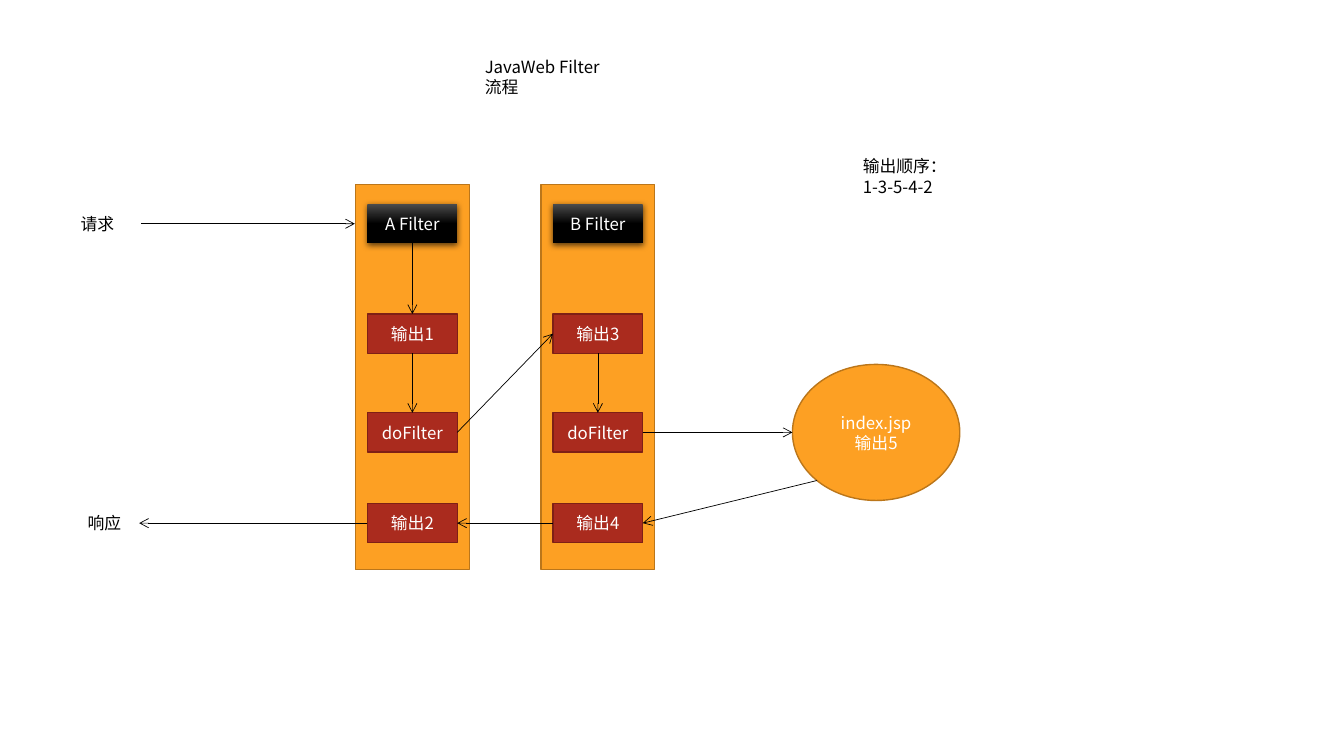
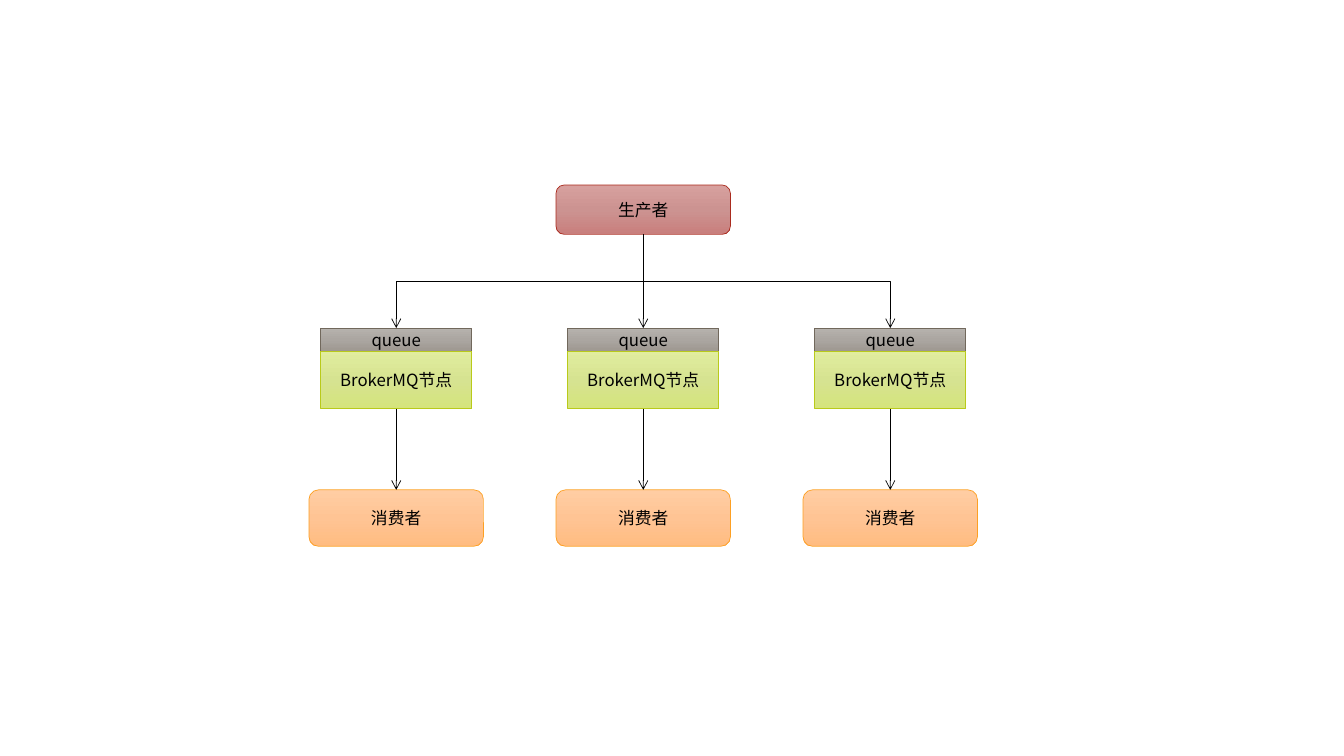
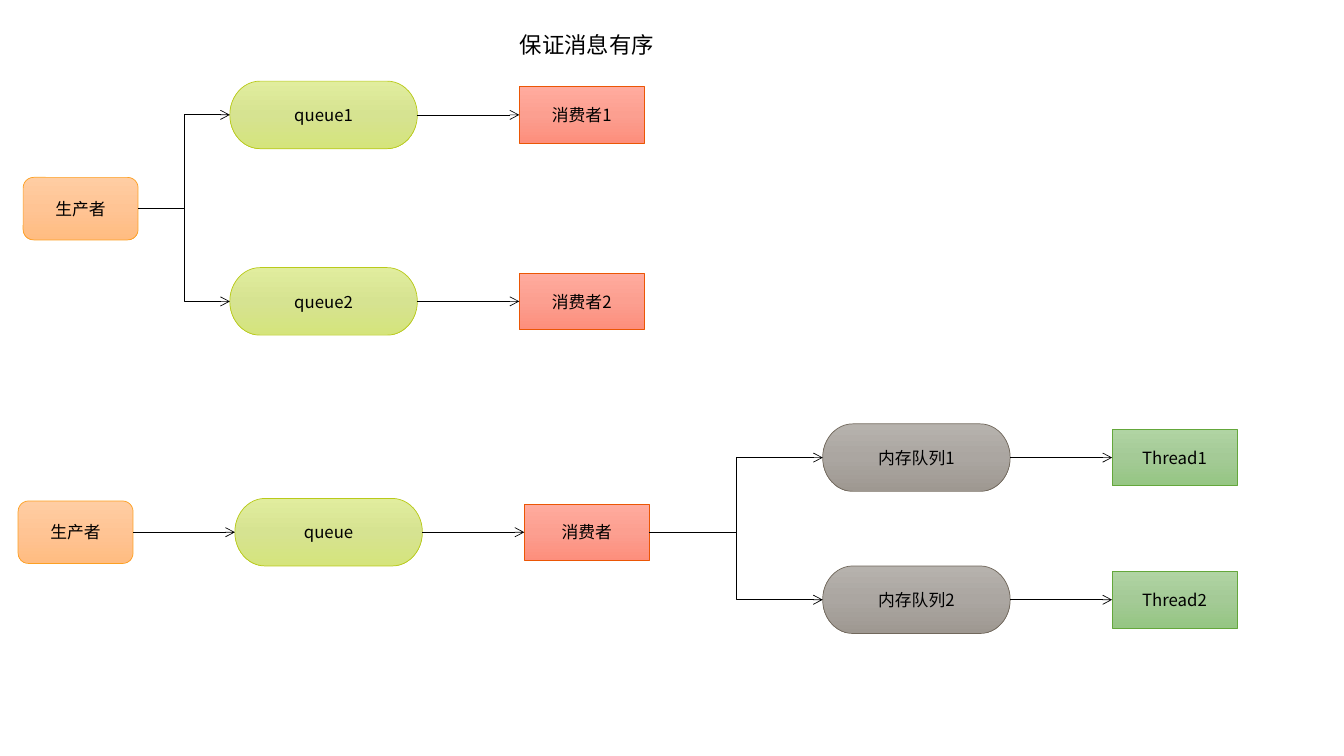
from collections import namedtuple
from copy import deepcopy
from math import cos, pi, sin

from lxml import etree
from pptx import Presentation
from pptx.dml.color import RGBColor
from pptx.enum.shapes import MSO_CONNECTOR, MSO_SHAPE
from pptx.enum.text import MSO_ANCHOR, PP_ALIGN
from pptx.oxml.ns import qn
from pptx.util import Inches, Pt

RECT, ROUND, OVAL = MSO_SHAPE.RECTANGLE, MSO_SHAPE.ROUNDED_RECTANGLE, MSO_SHAPE.OVAL
TERMINATOR = MSO_SHAPE.FLOWCHART_TERMINATOR
STRAIGHT, ELBOW = MSO_CONNECTOR.STRAIGHT, MSO_CONNECTOR.ELBOW
LEFT, CENTER, MIDDLE = PP_ALIGN.LEFT, PP_ALIGN.CENTER, MSO_ANCHOR.MIDDLE
TOP_SIDE, LEFT_SIDE, BOTTOM_SIDE, RIGHT_SIDE = range(4)

FONT = "Noto Sans CJK SC"
BLACK, WHITE = "000000", "FFFFFF"
TEXT_SIZE, TITLE_SIZE = 12, 16

Style = namedtuple("Style", "fill line weight text")
PANEL = Style("FDA023", "BB761A", 1, WHITE)
STEP = Style("AA2B1E", "7E2016", 1, WHITE)
HEADER = Style(("4B4B4B", "000000", "000000"), None, 0, WHITE)
ORANGE = Style(("FFCDA3", "FFC494", "FFBC81"), "FDA023", 0.5, BLACK)
GREEN = Style(("B0D4A3", "A4CA96", "95C683"), "64A73B", 0.5, BLACK)
LIME = Style(("E1ED9E", "D6E391", "D5E47C"), "B9CA1A", 0.5, BLACK)
GRAY = Style(("B6B2AD", "ABA6A1", "9E9891"), "71685C", 0.5, BLACK)
CORAL = Style(("FFAB9E", "FC9F90", "FD8E7C"), "EB5605", 0.5, BLACK)
ROSE = Style(("D7A09E", "CC9391", "C97F7D"), "AA2B1E", 0.5, BLACK)

Kind = namedtuple("Kind", "preset width height style")
PRODUCER = Kind(ROUND, 1.14, 0.62, ORANGE)
QUEUE = Kind(TERMINATOR, 1.86, 0.67, LIME)
CONSUMER = Kind(RECT, 1.24, 0.56, CORAL)
MEMORY = QUEUE._replace(style=GRAY)
THREAD = CONSUMER._replace(style=GREEN)


def rgb(color):
    """Turn a hex string into a colour."""
    return RGBColor.from_string(color)


def write(frame, lines, color, size=TEXT_SIZE, align=LEFT):
    """Write one paragraph per line into a text frame."""
    frame.word_wrap = True
    for number, line in enumerate(lines):
        paragraph = frame.add_paragraph() if number else frame.paragraphs[0]
        paragraph.alignment = align
        run = paragraph.add_run()
        run.text = line
        run.font.size = Pt(size)
        run.font.name = FONT
        run.font.color.rgb = rgb(color)
        etree.SubElement(run.font._element, qn("a:ea"), typeface=FONT)


def label(slide, left, top, width, height, *lines, size=TEXT_SIZE, align=LEFT):
    """Add free black text."""
    area = slide.shapes.add_textbox(*map(Inches, (left, top, width, height)))
    write(area.text_frame, lines, BLACK, size, align)


def paint(shape, colors):
    """Fill a shape with one colour or an even top-down gradient."""
    if isinstance(colors, str):
        shape.fill.solid()
        shape.fill.fore_color.rgb = rgb(colors)
        return
    shape.fill.gradient()
    shape.fill.gradient_angle = 270
    stop_list = shape.element.spPr.find(".//" + qn("a:gsLst"))
    stop_list.append(deepcopy(stop_list[-1]))
    for number, (stop, color) in enumerate(zip(shape.fill.gradient_stops, colors)):
        stop.color.rgb = rgb(color)
        stop.position = number / (len(colors) - 1)


def node(slide, preset, center_x, center_y, width, height, style, *lines):
    """Add a styled shape around a centre point."""
    shape = slide.shapes.add_shape(
        preset, Inches(center_x - width / 2), Inches(center_y - height / 2),
        Inches(width), Inches(height))
    shape.shadow.inherit = False
    paint(shape, style.fill)
    if style.line:
        shape.line.color.rgb = rgb(style.line)
        shape.line.width = Pt(style.weight)
    else:
        shape.line.fill.background()
    shape.text_frame.vertical_anchor = MIDDLE
    write(shape.text_frame, lines, style.text, align=CENTER)
    return shape


def drop_shadow(shape):
    """Give a shape a soft shadow below it."""
    effects = shape.element.spPr.find(qn("a:effectLst"))
    shadow = etree.SubElement(effects, qn("a:outerShdw"), blurRad=str(Pt(4.5)),
                              dist=str(Pt(1.5)), dir="5400000", rotWithShape="0")
    color = etree.SubElement(shadow, qn("a:srgbClr"), val=BLACK)
    etree.SubElement(color, qn("a:alpha"), val="63000")


def arrow(slide, start, end, route=STRAIGHT):
    """Draw an arrow between ends, each a (shape, side) or an (x, y) point."""
    connector = slide.shapes.add_connector(route, 0, 0, 0, 0)
    if isinstance(start[0], (int, float)):
        connector.begin_x, connector.begin_y = map(Inches, start)
    else:
        connector.begin_connect(*start)
    if isinstance(end[0], (int, float)):
        connector.end_x, connector.end_y = map(Inches, end)
    else:
        connector.end_connect(*end)
    connector.line.color.rgb = rgb(BLACK)
    connector.line.width = Pt(0.5)
    properties = connector.element.spPr
    etree.SubElement(properties.find(qn("a:ln")), qn("a:tailEnd"), type="arrow")
    etree.SubElement(properties, qn("a:effectLst"))
    return connector


def drop_arrow(slide, upper, lower):
    """Draw an elbow arrow that leaves downwards and arrives downwards."""
    connector = arrow(slide, (upper, BOTTOM_SIDE), (lower, TOP_SIDE), ELBOW)
    rightward = connector.end_x > connector.begin_x
    width, height = connector.width, connector.height
    connector.left += (width - height) // 2
    connector.top += (height - width) // 2
    connector.width, connector.height = height, width
    frame = connector.element.spPr.find(qn("a:xfrm"))
    frame.set("rot", "5400000")
    frame.set("flipH", "0")
    frame.set("flipV", "1" if rightward else "0")


def across(slide, source, target, route=STRAIGHT):
    """Draw an arrow from a right side to a left side."""
    arrow(slide, (source, RIGHT_SIDE), (target, LEFT_SIDE), route)


def down(slide, upper, lower):
    """Draw a straight arrow from a bottom to a top."""
    arrow(slide, (upper, BOTTOM_SIDE), (lower, TOP_SIDE))


def filter_column(slide, center, rows, texts):
    """Add a filter panel with its header and steps, and return these."""
    node(slide, RECT, center, 3.74, 1.13, 3.82, PANEL)
    boxes = [node(slide, RECT, center, row, 0.89, 0.39, STEP if number else HEADER, text)
             for number, (row, text) in enumerate(zip(rows, texts))]
    drop_shadow(boxes[0])
    return boxes


def filter_slide(slide):
    """Show the order in which two filters run."""
    rows = (2.22, 3.31, 4.29, 5.19)
    a_filter, output_1, do_a, output_2 = filter_column(
        slide, 4.09, rows, ("A Filter", "输出1", "doFilter", "输出2"))
    _, output_3, do_b, output_4 = filter_column(
        slide, 5.93, rows, ("B Filter", "输出3", "doFilter", "输出4"))
    page_x, page_y, page_width, page_height = 8.69, 4.29, 1.66, 1.35
    node(slide, OVAL, page_x, page_y, page_width, page_height, PANEL, "index.jsp", "输出5")

    label(slide, 0.7, 2.07, 0.68, 0.3, "请求")
    label(slide, 0.77, 5.04, 0.61, 0.3, "响应")
    label(slide, 4.71, 0.51, 1.53, 0.5, "JavaWeb Filter 流程")
    label(slide, 8.46, 1.5, 2.1, 0.5, "输出顺序：", "1-3-5-4-2")

    arrow(slide, (1.4, rows[0]), (3.52, rows[0]))
    down(slide, a_filter, output_1)
    down(slide, output_1, do_a)
    across(slide, do_a, output_3)
    down(slide, output_3, do_b)
    arrow(slide, (do_b, RIGHT_SIDE), (page_x - page_width / 2, page_y))
    page_exit = (page_x - page_width / 2 * cos(pi / 4), page_y + page_height / 2 * sin(pi / 4))
    arrow(slide, page_exit, (output_4, RIGHT_SIDE))
    arrow(slide, (output_4, LEFT_SIDE), (output_2, RIGHT_SIDE))
    arrow(slide, (output_2, LEFT_SIDE), (1.38, rows[3]))


def cluster_slide(slide):
    """Show a producer that feeds three queue nodes and their consumers."""
    centers = [3.93 + 2.45 * column for column in range(3)]
    producer = node(slide, ROUND, centers[1], 2.08, 1.73, 0.49, ROSE, "生产者")
    for center in centers:
        queue = node(slide, RECT, center, 3.37, 1.5, 0.23, GRAY, "queue")
        broker = node(slide, RECT, center, 3.77, 1.5, 0.57, LIME, "BrokerMQ节点")
        consumer = node(slide, ROUND, center, 5.14, 1.73, 0.56, ORANGE, "消费者")
        link = down if center == centers[1] else drop_arrow
        link(slide, producer, queue)
        down(slide, broker, consumer)


def chain(slide, left, center_y, *parts):
    """Line up (kind, text) parts at equal gaps, joined by arrows."""
    gap, nodes = 1.01, []
    for kind, text in parts:
        nodes.append(node(slide, kind.preset, left + kind.width / 2, center_y,
                          kind.width, kind.height, kind.style, text))
        left += kind.width + gap
    for source, target in zip(nodes, nodes[1:]):
        across(slide, source, target)
    return nodes


def order_slide(slide):
    """Show two ways to keep messages in order."""
    label(slide, 4.26, 0.26, 3.12, 0.37, "保证消息有序", size=TITLE_SIZE, align=CENTER)
    producer = chain(slide, 0.23, 2.07, (PRODUCER, "生产者"))[0]
    consumer = chain(slide, 0.18, 5.28, (PRODUCER, "生产者"),
                     (QUEUE, "queue"), (CONSUMER, "消费者"))[-1]
    branches = (
        (producer, 2.28, (1.14, 2.99), (QUEUE, "queue"), (CONSUMER, "消费者")),
        (consumer, 8.16, (4.54, 5.95), (MEMORY, "内存队列"), (THREAD, "Thread")),
    )
    for source, left, rows, *parts in branches:
        for number, row in enumerate(rows, 1):
            numbered = [(kind, f"{text}{number}") for kind, text in parts]
            first = chain(slide, left, row, *numbered)[0]
            across(slide, source, first, ELBOW)


def main():
    """Build and save the presentation."""
    deck = Presentation()
    deck.slide_width, deck.slide_height = Inches(13.33), Inches(7.5)
    for build in (filter_slide, cluster_slide, order_slide):
        build(deck.slides.add_slide(deck.slide_layouts[6]))
    deck.save("out.pptx")


if __name__ == "__main__":
    main()
